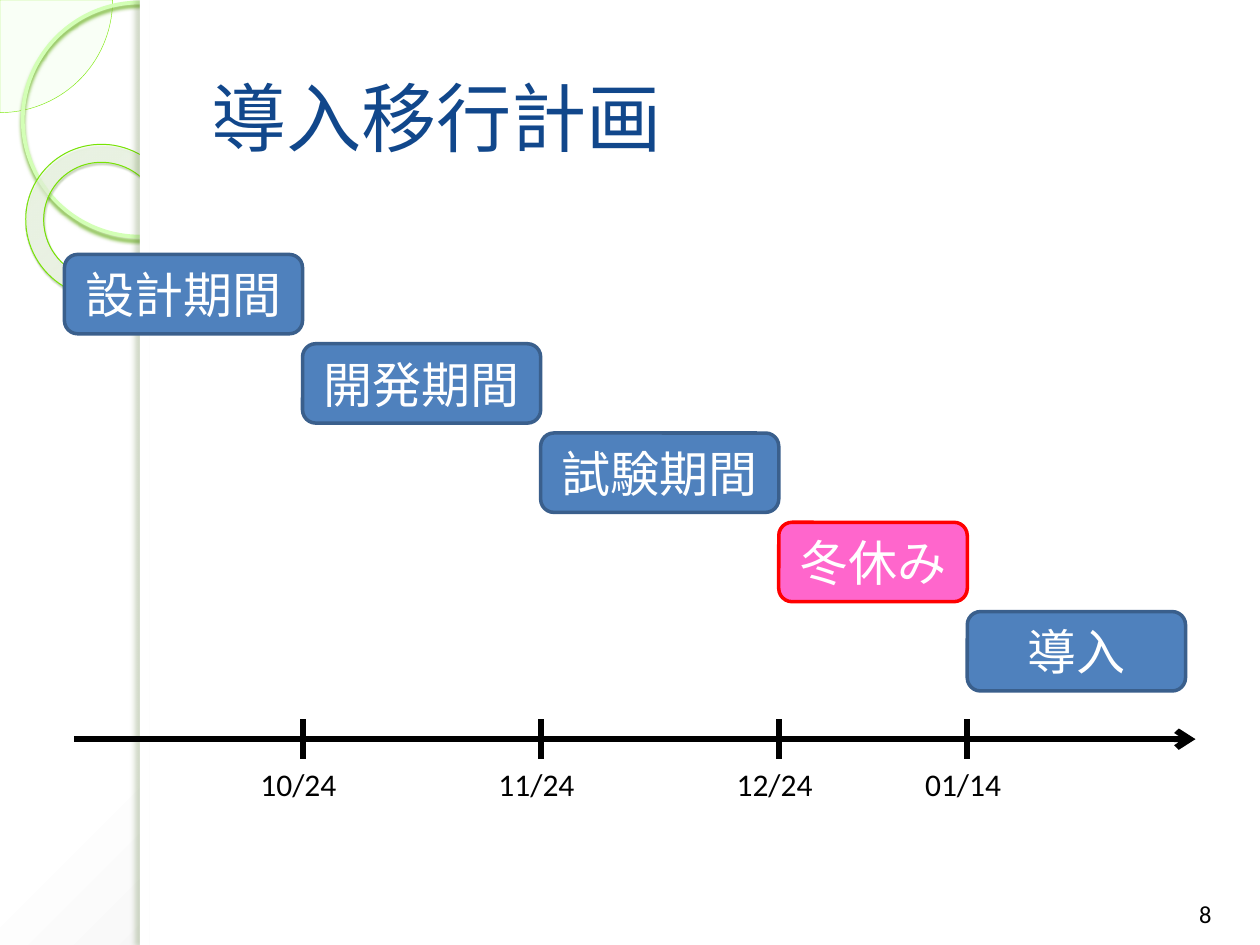
"""Build the rollout plan slide: stepped phases above a dated time line."""
from dataclasses import dataclass

from lxml.etree import SubElement as Sub
from pptx import Presentation
from pptx.dml.color import RGBColor
from pptx.enum.shapes import MSO_CONNECTOR as Link, MSO_SHAPE as Kind
from pptx.enum.text import MSO_ANCHOR as Anchor, PP_ALIGN as Align
from pptx.oxml.ns import qn
from pptx.util import Cm, Pt

BLUE, NAVY, PINK, RED = "4F81BD", "3A5F8C", "FF66CC", "FF0000"
BLACK, WHITE = "000000", "FFFFFF"
LEFT, TOP, STEP, HIGH = 1.3, 5.13, 1.8, 1.6
AXIS, TICK = 14.9, 0.4
EDGE, WIDE, TALL = 2.82, 25.4, 19.05


@dataclass
class Phase:
    """One period, its width in cm and the date on which it ends."""
    name: str
    width: float
    end: str = ""
    fill: str = BLUE
    line: str = NAVY


PHASES = [
    Phase("設計期間", 4.8, "10/24"),
    Phase("開発期間", 4.8, "11/24"),
    Phase("試験期間", 4.8, "12/24"),
    Phase("冬休み", 3.8, "01/14", PINK, RED),
    Phase("導入", 4.4),
]


def tint(hue: str) -> RGBColor:
    """Turn a hex string into a colour."""
    return RGBColor.from_string(hue)


def write(shape, text: str, size: float = 18, hue: str = BLACK, align=Align.LEFT,
          anchor=Anchor.TOP, wrap: bool = True) -> None:
    """Put formatted text into a shape."""
    frame = shape.text_frame
    frame.word_wrap, frame.vertical_anchor = wrap, anchor
    para = frame.paragraphs[0]
    para.alignment = align
    run = para.add_run()
    run.text = text
    run.font.name, run.font.size = "Calibri", Pt(size)
    run.font.color.rgb = tint(hue)


def draw(slide, kind, box: tuple, fill: str = "", line: str = "", weight: float = 0):
    """Add a preset shape, without fill or line where none is named."""
    shape = slide.shapes.add_shape(kind, *map(Cm, box))
    shape.shadow.inherit = False
    if fill:
        shape.fill.solid()
        shape.fill.fore_color.rgb = tint(fill)
    else:
        shape.fill.background()
    if line:
        shape.line.color.rgb = tint(line)
        shape.line.width = Pt(weight)
    else:
        shape.line.fill.background()
    return shape


def fade(node, fill, stops: list, focus: tuple) -> None:
    """Give a fill a circular gradient of (place, colour, alpha) stops."""
    fill.gradient()
    grad = node.find(".//" + qn("a:gradFill"))
    for part in list(grad):
        grad.remove(part)
    group = Sub(grad, qn("a:gsLst"))
    for place, hue, alpha in stops:
        stop = Sub(group, qn("a:gs"), pos=str(place * 1000))
        color = Sub(stop, qn("a:srgbClr"), val=hue)
        Sub(color, qn("a:alpha"), val=str(alpha * 1000))
    ring = Sub(grad, qn("a:path"), path="circle")
    Sub(ring, qn("a:fillToRect"), {k: str(v * 1000) for k, v in zip("ltrb", focus)})


def shade(shape, hue: str, alpha: int, blur: float, dist: float, angle: int) -> None:
    """Cast an outer shadow."""
    group = shape._element.spPr.find(qn("a:effectLst"))
    cast = Sub(group, qn("a:outerShdw"), blurRad=str(Pt(blur)), dist=str(Pt(dist)),
               dir=str(angle * 60000), algn="tl", rotWithShape="0")
    color = Sub(cast, qn("a:srgbClr"), val=hue)
    Sub(color, qn("a:alpha"), val=str(alpha * 1000))


def rule(slide, start: tuple, end: tuple, arrow: bool = False) -> None:
    """Draw a thick black line."""
    line = slide.shapes.add_connector(Link.STRAIGHT, *map(Cm, start + end))
    line.line.color.rgb = tint(BLACK)
    line.line.width = Pt(3.5)
    if arrow:
        Sub(line.line._get_or_add_ln(), qn("a:tailEnd"), type="arrow")
    Sub(line._element.spPr, qn("a:effectLst"))


def adorn(slide) -> None:
    """Draw the background, the rings and the white panel."""
    fade(slide._element, slide.background.fill,
         [(0, WHITE, 100), (40, WHITE, 100), (100, "C5C5C5", 100)], (-24, -20, 124, 120))
    pie = draw(slide, Kind.PIE, (-2.27, -2.27, 4.54, 4.54), "EEFFE4", "7FE90E", 0.25)
    pie.adjustments[0], pie.adjustments[1] = 0, 54
    color = pie._element.spPr.find(qn("a:solidFill"))[0]
    Sub(color, qn("a:alpha"), val="33000")
    ring = draw(slide, Kind.OVAL, (0.46, 0.05, 4.72, 4.72), line="D3FFB6", weight=2.15)
    shade(ring, "6DB224", 85, 2, 2, 90)
    donut = draw(slide, Kind.DONUT, (0.51, 2.92, 3.12, 3.07), line="77E403", weight=0.58)
    donut.adjustments[0] = 0.118
    donut.rotation = 38.6
    fade(donut._element, donut.fill,
         [(0, "F4FFEE", 70), (70, "FAFFF6", 55), (100, "83FE00", 60)],
         (-408, -50, 508, 150))
    shade(donut, "366406", 35, 1, 1.2, 75)
    draw(slide, Kind.RECTANGLE, (EDGE, 0, WIDE - EDGE, TALL), WHITE)
    strip = draw(slide, Kind.RECTANGLE, (EDGE, 0, 0.2, TALL), WHITE)
    shade(strip, "496A25", 25, 3, 3, 180)


def head(slide, text: str) -> None:
    """Place the title in front of the panel."""
    title = slide.shapes.title
    slide.shapes._spTree.append(title._element)
    title.left, title.top, title.width, title.height = map(Cm, (4, 0.76, 20.83, 3.18))
    write(title, text, size=43, hue="11478B", anchor=Anchor.MIDDLE)


def note(slide, text: str, box: tuple, **style) -> None:
    """Add a text box."""
    write(slide.shapes.add_textbox(*map(Cm, box)), text, **style)


def plan(slide) -> None:
    """Draw the time line and the steps with their end dates."""
    rule(slide, (1.5, AXIS), (24.1, AXIS), arrow=True)
    left = LEFT
    for row, phase in enumerate(PHASES):
        box = (left, TOP + row * STEP, phase.width, HIGH)
        bar = draw(slide, Kind.ROUNDED_RECTANGLE, box, phase.fill, phase.line, 2)
        write(bar, phase.name, size=28, hue=WHITE, align=Align.CENTER,
              anchor=Anchor.MIDDLE)
        left += phase.width
        if phase.end:
            rule(slide, (left, AXIS - TICK), (left, AXIS + TICK))
            note(slide, phase.end, (left - 1.1, AXIS + TICK, 2.24, 1.02), wrap=False)


def main() -> None:
    """Build and save the slide."""
    deck = Presentation()
    deck.slide_width, deck.slide_height = Cm(WIDE), Cm(TALL)
    slide = deck.slides.add_slide(deck.slide_layouts[5])
    adorn(slide)
    head(slide, "導入移行計画")
    plan(slide)
    note(slide, "8", (23.4, 17.53, 1.8, 1.32), size=14, align=Align.CENTER,
         anchor=Anchor.BOTTOM)
    deck.save("out.pptx")


if __name__ == "__main__":
    main()
